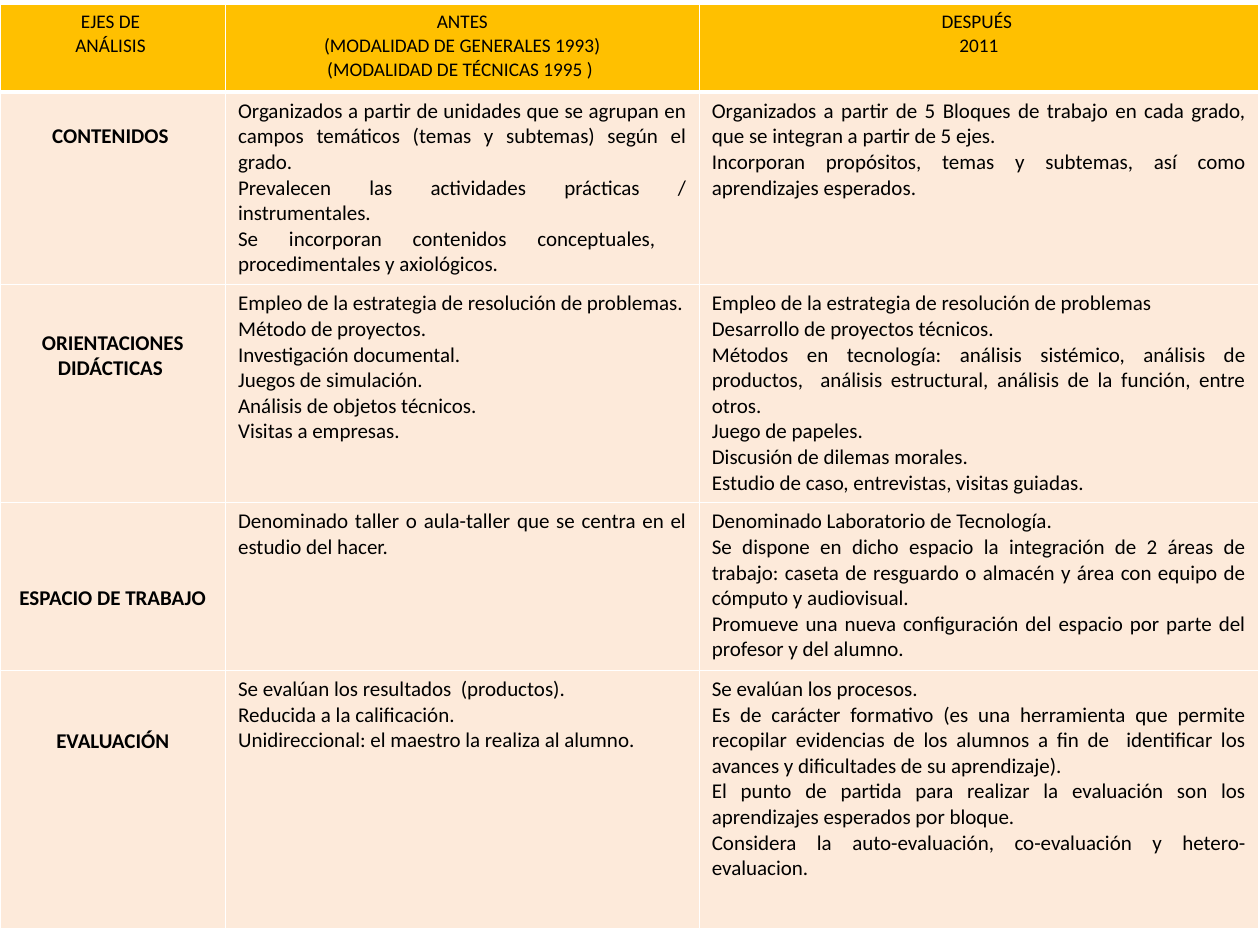
import pptx
import pptx.dml.color
import pptx.enum.text
import pptx.oxml.ns
import pptx.util
from lxml import etree

Inches = pptx.util.Inches
Pt = pptx.util.Pt
ALIGN = pptx.enum.text.PP_ALIGN

HEADERS = [
    ["EJES DE ", "ANÁLISIS "],
    ["ANTES", "(MODALIDAD DE GENERALES 1993)", "(MODALIDAD DE TÉCNICAS 1995 ) "],
    ["DESPUÉS ", "2011"],
]
AXES = [
    ("CONTENIDOS ", 0.2, [
        "Organizados a partir de unidades que se agrupan en campos temáticos (temas y subtemas) según el grado.",
        "Prevalecen las actividades prácticas / instrumentales.",
        "Se incorporan contenidos conceptuales,  procedimentales y axiológicos.",
    ], [
        "Organizados a partir de 5 Bloques de trabajo en cada grado, que se integran a partir de 5 ejes.",
        "Incorporan propósitos, temas y subtemas, así como aprendizajes esperados.",
    ]),
    ("ORIENTACIONES DIDÁCTICAS ", 0.31, [
        "Empleo de la estrategia de resolución de problemas.",
        "Método de proyectos.",
        "Investigación documental.",
        "Juegos de simulación.",
        "Análisis de objetos técnicos.",
        "Visitas a empresas.",
    ], [
        "Empleo de la estrategia de resolución de problemas ",
        "Desarrollo de proyectos técnicos.",
        "Métodos en tecnología: análisis sistémico, análisis de productos,  análisis estructural, "
        "análisis de la función, entre otros.",
        "Juego de papeles.",
        "Discusión de dilemas morales.",
        "Estudio de caso, entrevistas, visitas guiadas.",
    ]),
    ("ESPACIO DE TRABAJO", 0.61, [
        "Denominado taller o aula-taller que se centra en el estudio del hacer.",
    ], [
        "Denominado Laboratorio de Tecnología.",
        "Se dispone en dicho espacio la integración de 2 áreas de trabajo: caseta de resguardo o almacén "
        "y área con equipo de cómputo y audiovisual. ",
        "Promueve una nueva configuración del espacio por parte del profesor y del alumno. ",
    ]),
    ("EVALUACIÓN", 0.41, [
        "Se evalúan los resultados  (productos).",
        "Reducida a la calificación.",
        "Unidireccional: el maestro la realiza al alumno.",
    ], [
        "Se evalúan los procesos.",
        "Es de carácter formativo (es una herramienta que permite recopilar evidencias de los alumnos "
        "a fin de  identificar los avances y dificultades de su aprendizaje). ",
        "El punto de partida para realizar la evaluación son los aprendizajes esperados por bloque.",
        "Considera la auto-evaluación, co-evaluación y hetero-evaluacion.",
    ]),
]
COLUMN_WIDTHS = [1.79, 3.76, 4.44]
ROW_HEIGHTS = [0.7, 1.53, 1.73, 1.33, 2.05]
HEADER_FILL, BODY_FILL, BORDER, INK = "FFC000", "FDEADA", "FFFFFF", "000000"


def color(hex_value):
    return pptx.dml.color.RGBColor.from_string(hex_value)


def add_borders(cell, bottom):
    properties = cell._tc.get_or_add_tcPr()
    qn = pptx.oxml.ns.qn
    for side, width in (("lnL", 1), ("lnR", 1), ("lnT", 1), ("lnB", bottom)):
        line = etree.SubElement(properties, qn(f"a:{side}"), w=str(Pt(width)))
        fill = etree.SubElement(line, qn("a:solidFill"))
        etree.SubElement(fill, qn("a:srgbClr"), val=BORDER)


def fill_cell(cell, lines, fill, size=12, align=ALIGN.JUSTIFY, bold=False, drop=0, bottom=1):
    add_borders(cell, bottom)
    cell.fill.solid()
    cell.fill.fore_color.rgb = color(fill)
    cell.margin_left = cell.margin_right = Inches(0.1)
    cell.margin_top = Inches(0.05 + drop)
    cell.margin_bottom = Inches(0.05)
    cell.text_frame.text = "\n".join(lines)
    for paragraph in cell.text_frame.paragraphs:
        paragraph.alignment = align
        paragraph.font.name = "Calibri"
        paragraph.font.size = Pt(size)
        paragraph.font.bold = bold
        paragraph.font.color.rgb = color(INK)


def main():
    deck = pptx.Presentation()
    deck.slide_width, deck.slide_height = Inches(10), Inches(7.5)
    slide = deck.slides.add_slide(deck.slide_layouts[6])
    comparison = slide.shapes.add_table(
        len(ROW_HEIGHTS), len(COLUMN_WIDTHS), Inches(0), Inches(0.03),
        Inches(sum(COLUMN_WIDTHS)), Inches(sum(ROW_HEIGHTS))).table
    for column, width in zip(comparison.columns, COLUMN_WIDTHS):
        column.width = Inches(width)
    for row, height in zip(comparison.rows, ROW_HEIGHTS):
        row.height = Inches(height)

    for index, lines in enumerate(HEADERS):
        fill_cell(comparison.cell(0, index), lines, HEADER_FILL, size=11, align=ALIGN.CENTER, bottom=3)
    for index, (axis, drop, before, after) in enumerate(AXES, start=1):
        fill_cell(comparison.cell(index, 0), [axis], BODY_FILL, align=ALIGN.CENTER, bold=True, drop=drop)
        fill_cell(comparison.cell(index, 1), before, BODY_FILL)
        fill_cell(comparison.cell(index, 2), after, BODY_FILL)

    deck.save("out.pptx")


if __name__ == "__main__":
    main()
